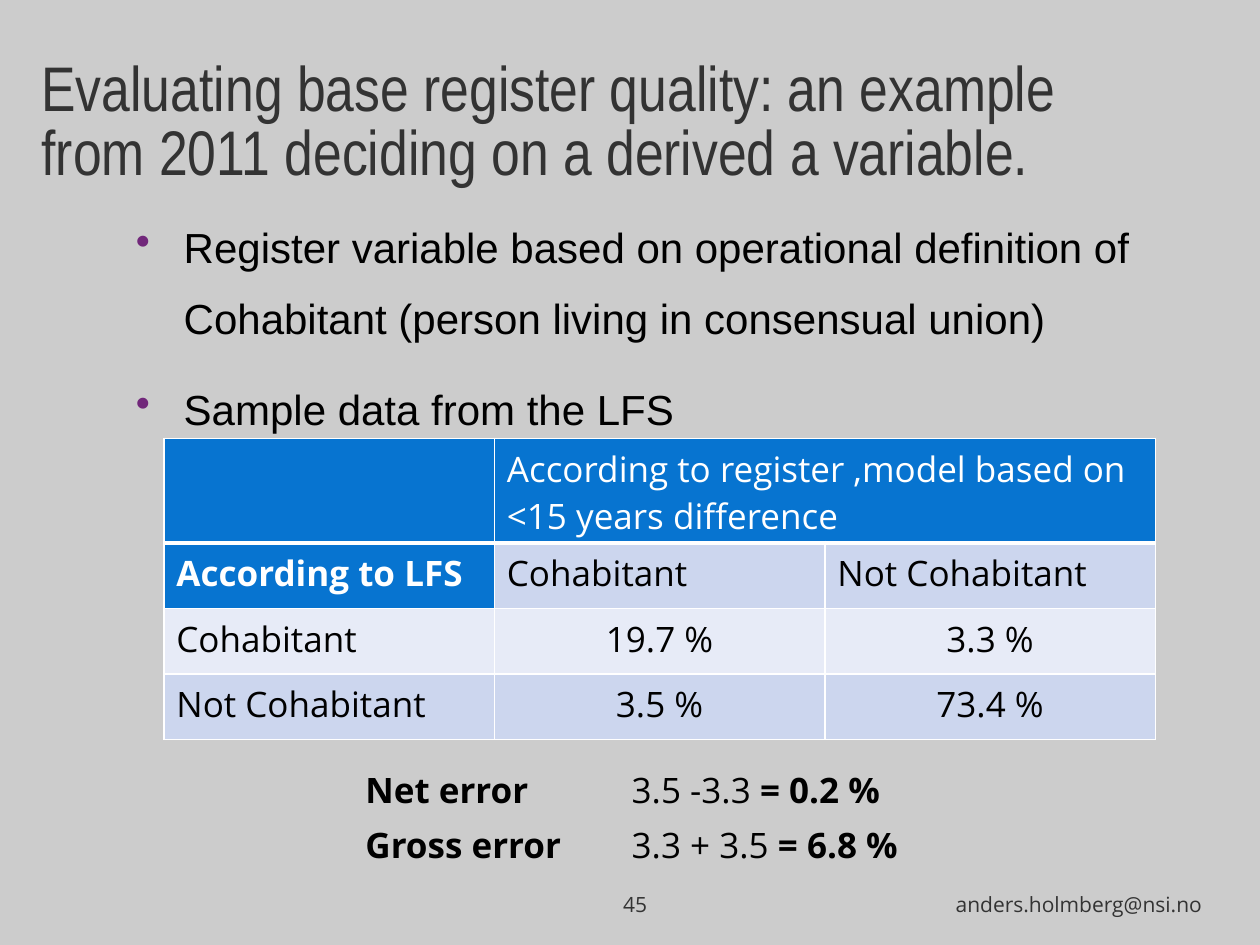
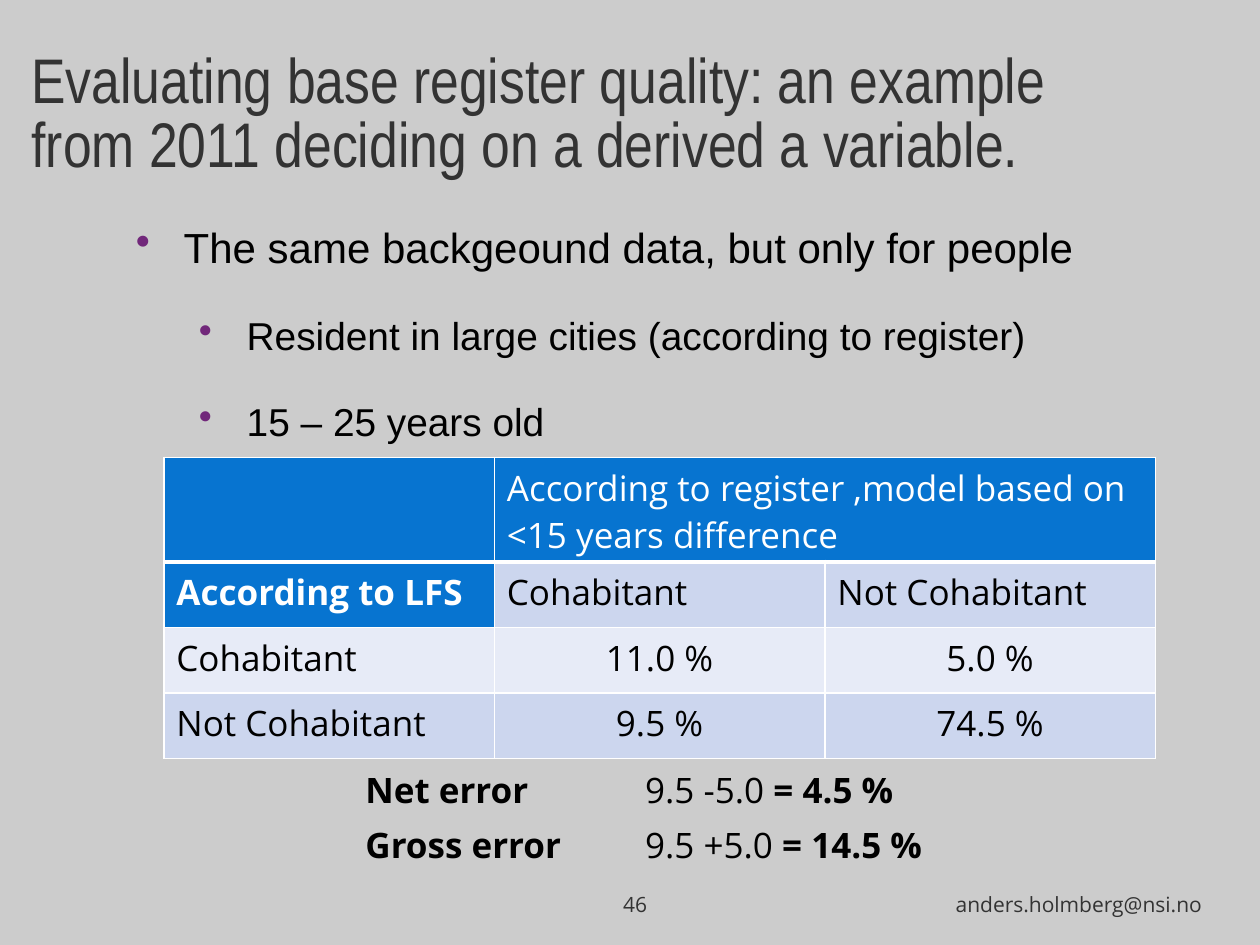
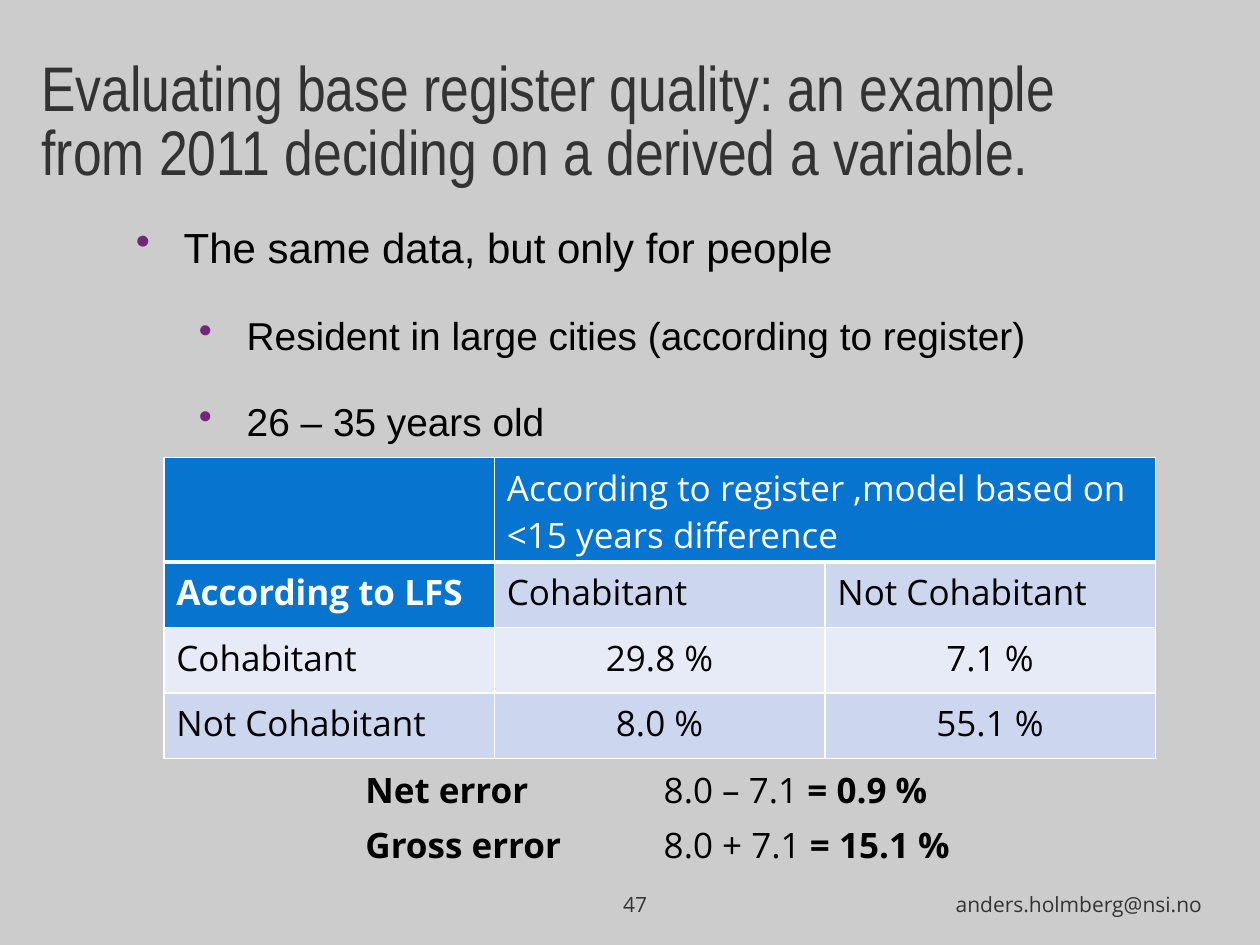
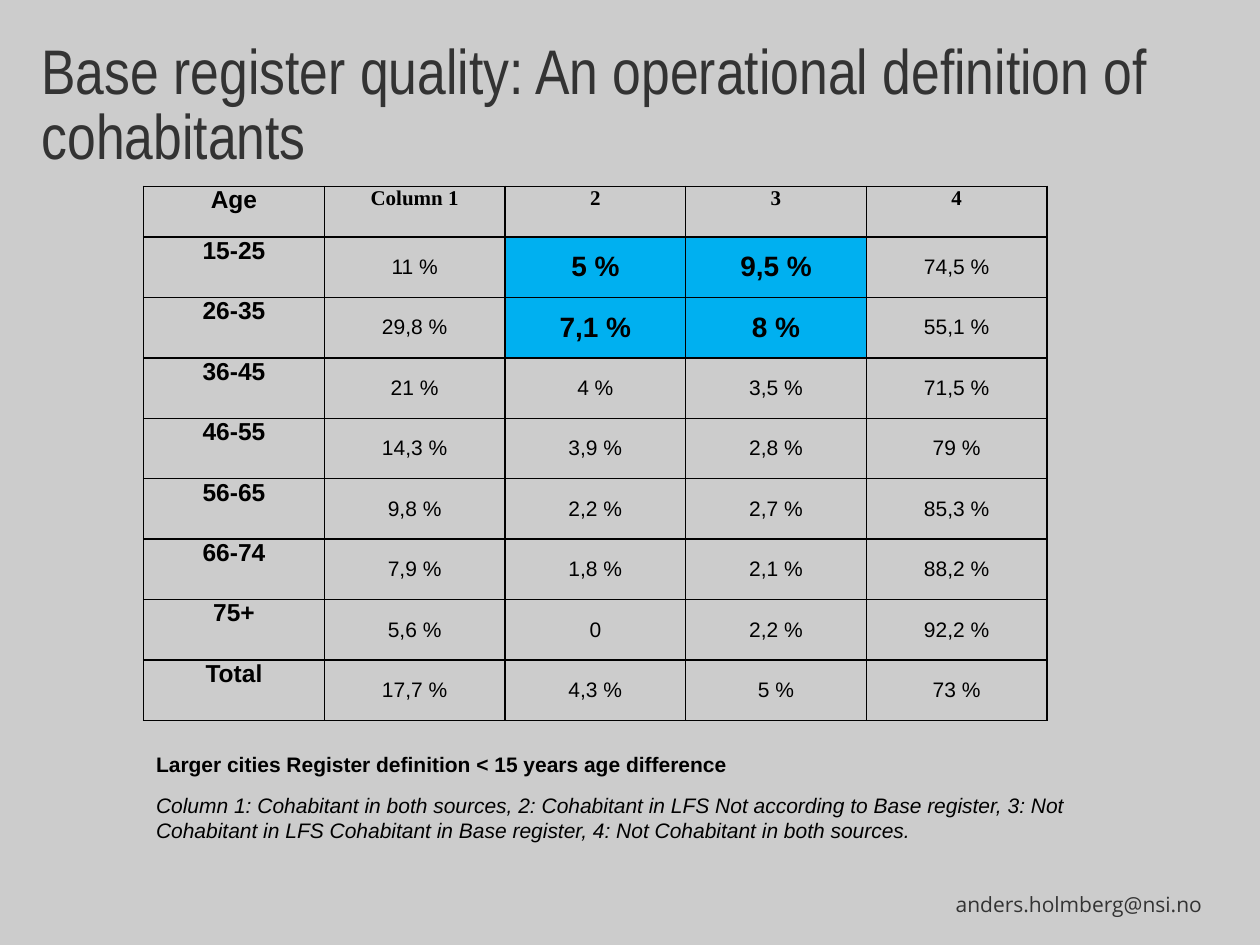
from dataclasses import dataclass, replace
from typing import NamedTuple

from lxml.etree import SubElement
from pptx import Presentation
from pptx.dml.color import RGBColor
from pptx.enum.text import MSO_ANCHOR as Anchor, PP_ALIGN as Align
from pptx.oxml.ns import qn
from pptx.util import Inches, Pt

COLUMNS, ROWS = 100, 75


@dataclass(frozen=True)
class Style:
    name: str
    size: float
    color: str = "000000"
    bold: bool = False
    italic: bool = False


@dataclass(frozen=True)
class Theme:
    backdrop: str = "CCCCCC"
    bullet: str = "71277A"
    head: str = "0774D0"
    band_dark: str = "CCD6EE"
    band_light: str = "E7EBF7"
    grid_light: str = "FFFFFF"
    grid_dark: str = "000000"
    highlight: str = "00B0F0"
    title: Style = Style("Arial Narrow", 36, "333333")
    footer: Style = Style("Open Sans", 12, "333333")
    bullets: tuple = (Style("Arial", 24), Style("Arial", 22.2))
    cell: Style = Style("Open Sans", 20)
    head_cell: Style = Style("Open Sans", 20, "FFFFFF")
    strong_cell: Style = Style("Open Sans", 20, bold=True)
    age: Style = Style("Arial", 14, bold=True)
    column_head: Style = Style("Times New Roman", 12, bold=True)
    value: Style = Style("Arial", 12)
    key_value: Style = Style("Arial", 16, bold=True)


class Box(NamedTuple):
    left: float
    top: float
    width: float
    height: float


THEME = Theme()
TITLE_BOX = Box(2, 3.6, 92.1, 12.5)
BULLET_BOX = Box(9.8, 15.5, 83.5, 21.3)
NUMBER_BOX = Box(44.5, 69.8, 11.8, 3.9)
ADDRESS_BOX = Box(61, 69.8, 35.4, 3.9)
NOTE_BOX = Box(11.4, 59.1, 77.2, 8.4)
AGE_BOX = Box(11.4, 14.8, 71.7, 42.4)

QUALITY_TITLE = "Evaluating base register quality: an example from 2011 deciding on a derived a variable."
CITIES = "Resident in large cities (according to register)"

COMPARISONS = [
    {
        "number": "45",
        "title_box": TITLE_BOX,
        "bullets": [
            (0, "Register variable based on operational definition of Cohabitant (person living in consensual union)"),
            (0, "Sample data from the LFS"),
        ],
        "table_top": 34.8,
        "shares": [("19.7 %", "3.3 %"), ("3.5 %", "73.4 %")],
        "errors_width": 45.7,
        "errors": [("3.5 -3.3", " = 0.2 %"), ("3.3 + 3.5", " = 6.8 %")],
    },
    {
        "number": "46",
        "title_box": TITLE_BOX._replace(left=1.2, top=3),
        "bullets": [
            (0, "The same backgeound data, but only for people"),
            (1, CITIES),
            (1, "15 – 25 years old"),
        ],
        "table_top": 36.3,
        "shares": [("11.0 %", "5.0 %"), ("9.5 %", "74.5 %")],
        "errors_width": 48,
        "errors": [("9.5 -5.0", " = 4.5 %"), ("9.5 +5.0", " = 14.5 %")],
    },
    {
        "number": "47",
        "title_box": TITLE_BOX,
        "bullets": [
            (0, "The same data, but only for people"),
            (1, CITIES),
            (1, "26 – 35 years old"),
        ],
        "table_top": 36.3,
        "shares": [("29.8 %", "7.1 %"), ("8.0 %", "55.1 %")],
        "errors_width": 51.2,
        "errors": [("8.0 – 7.1", " = 0.9 %"), ("8.0 + 7.1", " = 15.1 %")],
    },
]

AGE_ROWS = [
    ("Age", "Column 1", "2", "3", "4"),
    ("15-25", "11 %", "5 %", "9,5 %", "74,5 %"),
    ("26-35", "29,8 %", "7,1 %", "8 %", "55,1 %"),
    ("36-45", "21 %", "4 %", "3,5 %", "71,5 %"),
    ("46-55", "14,3 %", "3,9 %", "2,8 %", "79 %"),
    ("56-65", "9,8 %", "2,2 %", "2,7 %", "85,3 %"),
    ("66-74", "7,9 %", "1,8 %", "2,1 %", "88,2 %"),
    ("75+", "5,6 %", "0", "2,2 %", "92,2 %"),
    ("Total", "17,7 %", "4,3 %", "5 %", "73 %"),
]


def assign(target, values):
    for name, value in values.items():
        setattr(target, name, value)


def place(box):
    return [Inches(length / 10) for length in box]


def write_para(para, spans, **values):
    assign(para, values)
    for text, style in spans:
        span = para.add_run()
        span.text = text
        assign(span.font, {
            "name": style.name,
            "size": Pt(style.size),
            "bold": style.bold,
            "italic": style.italic,
        })
        span.font.color.rgb = RGBColor.from_string(style.color)


def add_text(slide, box, paras, **frame_values):
    frame = slide.shapes.add_textbox(*place(box)).text_frame
    assign(frame, {"word_wrap": True, **frame_values})
    for index, (spans, values) in enumerate(paras):
        para = frame.add_paragraph() if index else frame.paragraphs[0]
        write_para(para, spans, **values)
    return frame


def add_grid(slide, box, widths, heights):
    table = slide.shapes.add_table(len(heights), len(widths), *place(box)).table
    assign(table, {"first_row": False, "horz_banding": False})
    for column, width in zip(table.columns, widths):
        column.width = Inches(width / 10)
    for row, height in zip(table.rows, heights):
        row.height = Inches(height / 10)
    return table


def format_cell(cell, spans=(), fill=None, border=None, bottom=1, align=Align.LEFT, **values):
    properties = cell._tc.get_or_add_tcPr()
    for side, points in zip("LRTB", (1, 1, 1, bottom)):
        line = SubElement(properties, qn(f"a:ln{side}"), w=str(Pt(points)))
        if border:
            SubElement(SubElement(line, qn("a:solidFill")), qn("a:srgbClr"), val=border)
        else:
            SubElement(line, qn("a:noFill"))
    if fill:
        cell.fill.solid()
        cell.fill.fore_color.rgb = RGBColor.from_string(fill)
    else:
        cell.fill.background()
    assign(cell, values)
    write_para(cell.text_frame.paragraphs[0], spans, alignment=align)


def add_title(slide, box, text):
    add_text(
        slide, box, [([(text, THEME.title)], {"line_spacing": 0.85})],
        vertical_anchor=Anchor.MIDDLE,
        margin_left=Inches(0.13), margin_right=Inches(0.13),
        margin_top=Inches(0.06), margin_bottom=Inches(0.06),
    )


def add_footer(slide, box, text, align):
    add_text(slide, box, [([(text, THEME.footer)], {"alignment": align})],
             vertical_anchor=Anchor.MIDDLE)


def add_bullets(slide, box, items):
    spacing = {"line_spacing": 1.4, "space_before": Pt(6), "space_after": Pt(6)}
    paras = [([(text, THEME.bullets[level])], {"level": level, **spacing})
             for level, text in items]
    frame = add_text(slide, box, paras)
    for (level, _), para in zip(items, frame.paragraphs):
        properties = para._p.get_or_add_pPr()
        properties.set("marL", str(Inches(0.38 + 0.5 * level)))
        properties.set("indent", str(Inches(-0.38)))
        SubElement(SubElement(properties, qn("a:buClr")), qn("a:srgbClr"), val=THEME.bullet)
        SubElement(properties, qn("a:buChar"), char="•")


def add_comparison_table(slide, box, shares):
    table = add_grid(slide, box, [box.width / 3] * 3, [8.3, 5.2, 5.2, 5.2])
    table.cell(0, 1).merge(table.cell(0, 2))
    header = ["", "According to register ,model based on <15 years difference", ""]
    groups = ["Cohabitant", "Not Cohabitant"]
    rows = [header, ["According to LFS", *groups]]
    rows += [[group, *values] for group, values in zip(groups, shares)]
    for row, texts in enumerate(rows):
        for column, text in enumerate(texts):
            is_head = row == 0 or (row, column) == (1, 0)
            style = replace(THEME.head_cell, bold=row == 1) if is_head else THEME.cell
            band = THEME.band_dark if row % 2 else THEME.band_light
            format_cell(
                table.cell(row, column), [(text, style)] if text else [],
                fill=THEME.head if is_head else band,
                border=THEME.grid_light, bottom=1 if row else 3,
                align=Align.CENTER if row > 1 and column else Align.LEFT,
            )


def add_error_table(slide, box, errors):
    label_width = box.width * 0.4625
    table = add_grid(slide, box, [label_width, box.width - label_width], [4.1, 4.1])
    for row, (label, (sum_text, result)) in enumerate(zip(("Net error", "Gross error"), errors)):
        format_cell(table.cell(row, 0), [(label, THEME.strong_cell)])
        format_cell(table.cell(row, 1), [(sum_text, THEME.cell), (result, THEME.strong_cell)])


def add_age_table(slide, box, rows):
    table = add_grid(slide, box, [box.width / 5] * 5, [4] + [4.8] * (len(rows) - 1))
    for row, texts in enumerate(rows):
        for column, text in enumerate(texts):
            is_key = row in (1, 2) and column in (2, 3)
            if column == 0:
                style = THEME.age
            elif row == 0:
                style = THEME.column_head
            else:
                style = THEME.key_value if is_key else THEME.value
            format_cell(
                table.cell(row, column), [(text, style)],
                fill=THEME.highlight if is_key else None,
                border=THEME.grid_dark, align=Align.CENTER,
                vertical_anchor=Anchor.MIDDLE if row and column else Anchor.TOP,
                margin_left=Inches(0.07), margin_right=Inches(0.07),
                margin_top=0, margin_bottom=0,
            )


def add_note(slide, box):
    heading = "Larger cities Register definition < 15 years age difference"
    legend = ("Column 1: Cohabitant in both sources, 2: Cohabitant in LFS Not according to Base register, "
              "3: Not Cohabitant in LFS Cohabitant in Base register, 4: Not Cohabitant in both sources.")
    add_text(slide, box, [
        ([(heading, replace(THEME.value, bold=True))], {}),
        ([(legend, replace(THEME.value, italic=True))], {"space_before": Pt(9)}),
    ], vertical_anchor=Anchor.MIDDLE)


def add_page(deck):
    slide = deck.slides.add_slide(deck.slide_layouts[6])
    slide.background.fill.solid()
    slide.background.fill.fore_color.rgb = RGBColor.from_string(THEME.backdrop)
    add_footer(slide, ADDRESS_BOX, "anders.holmberg@nsi.no", Align.RIGHT)
    return slide


def add_comparison_page(deck, content):
    slide = add_page(deck)
    add_title(slide, content["title_box"], QUALITY_TITLE)
    add_bullets(slide, BULLET_BOX, content["bullets"])
    add_comparison_table(slide, Box(13, content["table_top"], 78.7, 24), content["shares"])
    add_error_table(slide, Box(28, 60.3, content["errors_width"], 8.7), content["errors"])
    add_footer(slide, NUMBER_BOX, content["number"], Align.CENTER)


def add_age_page(deck):
    slide = add_page(deck)
    add_title(slide, Box(2, 2.3, 95.3, 12.5),
              "Base register quality: An operational definition of cohabitants")
    add_age_table(slide, AGE_BOX, AGE_ROWS)
    add_note(slide, NOTE_BOX)


def main():
    deck = Presentation()
    assign(deck, {"slide_width": Inches(COLUMNS / 10), "slide_height": Inches(ROWS / 10)})
    for content in COMPARISONS:
        add_comparison_page(deck, content)
    add_age_page(deck)
    deck.save("out.pptx")


if __name__ == "__main__":
    main()
